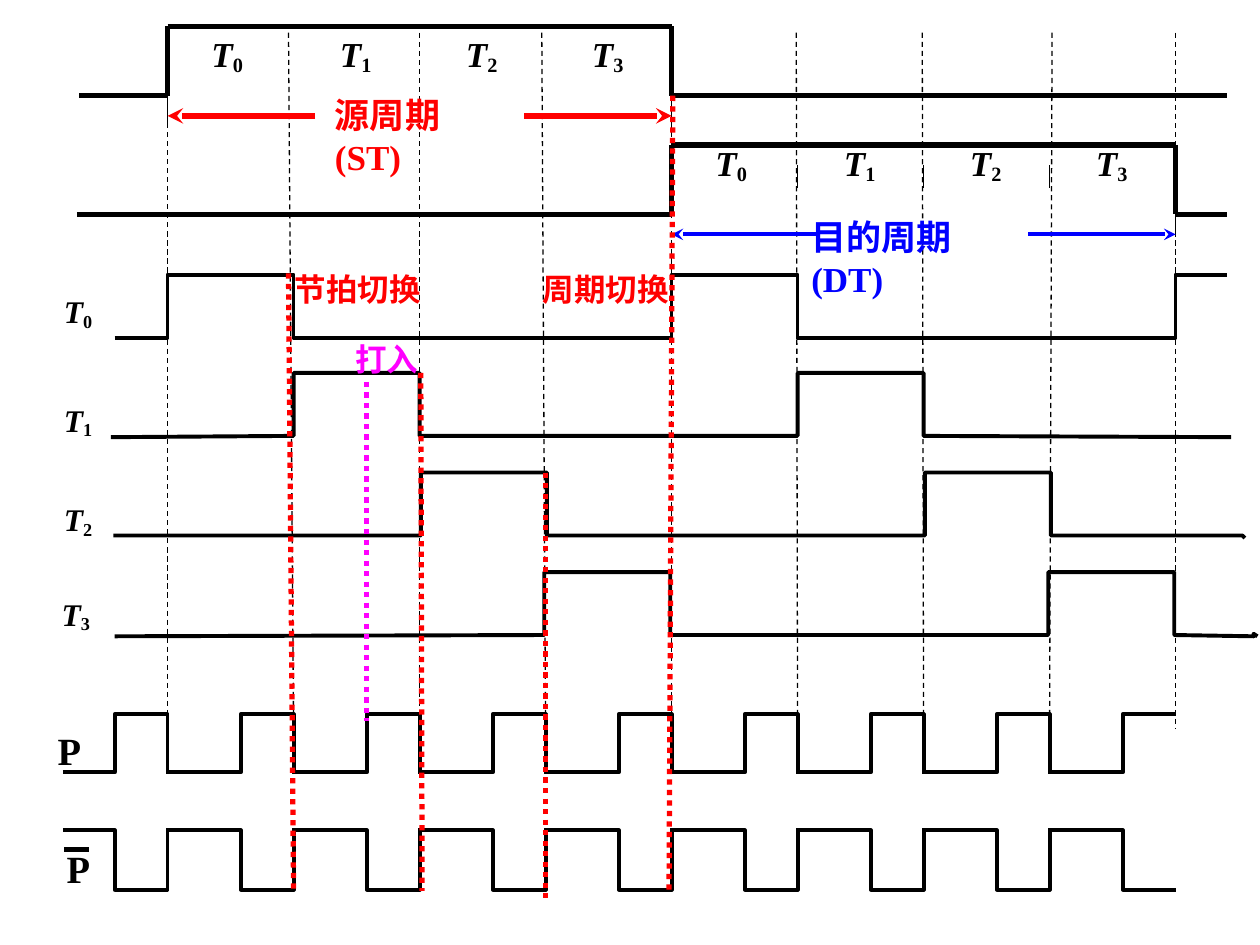
import itertools
import pptx
import pptx.util
import pptx.dml.color
import pptx.enum.dml
import pptx.enum.shapes
import pptx.enum.text
import pptx.oxml.ns
import pptx.oxml.xmlchemy

Inches = pptx.util.Inches
Pt = pptx.util.Pt
Color = pptx.dml.color.RGBColor
Dash = pptx.enum.dml.MSO_LINE
make = pptx.oxml.xmlchemy.OxmlElement
BLACK = Color(0, 0, 0)
RED = Color(255, 0, 0)
BLUE = Color(0, 0, 255)
PINK = Color(255, 0, 255)
FONT = "Times New Roman"


def add_line(slide, start, end, color=BLACK, width=0.75, dash=None, arrow=False):
    kind = pptx.enum.shapes.MSO_CONNECTOR.STRAIGHT
    line = slide.shapes.add_connector(kind, *[Inches(v) for v in (*start, *end)])
    line.line.color.rgb = color
    line.line.width = Pt(width)
    if dash:
        line.line.dash_style = dash
    props = line._element.spPr
    if arrow:
        tail = make("a:tailEnd")
        tail.set("type", "stealth")
        props.find(pptx.oxml.ns.qn("a:ln")).append(tail)
    props.append(make("a:effectLst"))


def add_wave(slide, points):
    """Draw one open outline through the points."""
    places = [(Inches(x), Inches(y)) for x, y in points]
    form = slide.shapes.build_freeform(*places[0])
    form.add_line_segments(places[1:], close=False)
    wave = form.convert_to_shape()
    wave.shadow.inherit = False
    wave.fill.background()
    wave.line.color.rgb = BLACK
    wave.line.width = Pt(2.25)


def add_label(slide, box, text, size, color=BLACK, sub=None, wrap=False):
    """Write bold text; a subscript makes the main text italic."""
    label = slide.shapes.add_textbox(*[Inches(v) for v in box])
    frame = label.text_frame
    frame.text = text
    frame.word_wrap = wrap
    if wrap:
        frame.margin_right = Inches(0.5)
    else:
        frame.auto_size = pptx.enum.text.MSO_AUTO_SIZE.SHAPE_TO_FIT_TEXT
    para = frame.paragraphs[0]
    if sub is not None:
        para.add_run().text = str(sub)
    for run in para.runs:
        run.font.name = FONT
        run.font.size = Pt(size)
        run.font.bold = True
        run.font.color.rgb = color
    if sub is not None:
        para.runs[0].font.italic = True
        para.runs[1].font.italic = False
        para.runs[1]._r.get_or_add_rPr().set("baseline", "-15000")


def pulse(first, last, high, low, rises, tail=()):
    """List the points of a level line with pulses one inch wide."""
    points = [first]
    for x in rises:
        points += [(x, low), (x, high), (x + 1, high), (x + 1, low)]
    return points + [last, *tail]


def add_beats(slide):
    """Draw the rows T0 to T3, each with a pulse in both cycles."""
    rows = [
        ((0.91, 2.68), (9.33, 2.68), 2.18, 1.33, [(9.33, 2.18), (9.74, 2.18)], (0.41, 2.27)),
        ((0.88, 3.47), (9.77, 3.47), 2.96, 2.33, [], (0.41, 3.13)),
        ((0.9, 4.25), (9.86, 4.25), 3.75, 3.34, [(9.88, 4.27)], (0.41, 3.92)),
        ((0.91, 5.05), (9.95, 5.05), 4.54, 4.32, [(9.95, 5.03), (9.98, 5.05)], (0.39, 4.67)),
    ]
    for i, (first, last, high, rise, tail, place) in enumerate(rows):
        add_wave(slide, pulse(first, last, high, high + 0.5, (rise, rise + 4), tail))
        add_label(slide, (*place, 0.44, 0.4), "T", 18, sub=i)


def add_clock(slide, rest, peak):
    """Draw nine clock periods that leave the rest level for the peak."""
    for i in range(9):
        start = 0.5 if i == 0 else 0.32 + i
        rise, fall = 0.91 + i, 1.33 + i
        end = peak if i == 8 else rest
        add_wave(slide, [(start, rest), (rise, rest), (rise, peak), (fall, peak), (fall, end)])


def add_guides(slide, top, bottom):
    tops = [1.33, 2.29, 3.33, 4.3, 5.33, 6.32, 7.32, 8.35, 9.33]
    for i, x in enumerate(tops):
        add_line(slide, (x, top), (1.33 + i, bottom), dash=Dash.DASH)


def add_cycle(slide, left, top, start, text, color, width, names, box):
    """Draw one machine cycle: wave, beat names, span arrows and title."""
    end, base = start + 4, top + 0.55
    row = base + 0.16
    add_line(slide, (end - 1.17, row), (end, row), color, width, arrow=True)
    add_line(slide, (start + 1.17, row), (start, row), color, width, arrow=True)
    add_label(slide, box, text, 20, color, wrap=True)
    for i, shift in enumerate((0.25, 1.27, 2.27, 3.27)):
        add_label(slide, (start + shift, names, 0.47, 0.44), "T", 20, sub=i)
    points = [(left, base), (start, base), (start, top), (end, top), (end, base), (9.74, base)]
    for one, two in itertools.pairwise(points):
        add_line(slide, one, two, width=3)


def add_marks(slide):
    """Draw the dotted switching moments and their captions."""
    marks = [
        ((2.29, 2.17), (2.33, 7.06), RED),
        ((2.91, 3.03), (2.91, 5.72), PINK),
        ((3.34, 2.96), (3.35, 7.07), RED),
        ((4.33, 3.75), (4.33, 7.14), RED),
        ((5.34, 0.76), (5.31, 7.07), RED),
    ]
    for start, end, color in marks:
        add_line(slide, start, end, color, 3, Dash.ROUND_DOT)
    add_label(slide, (2.72, 2.65, 0.71, 0.4), "打入", 18, PINK)
    add_label(slide, (2.24, 2.09, 1.22, 0.4), "节拍切换", 18, RED)
    add_label(slide, (4.21, 2.09, 1.22, 0.4), "周期切换", 18, RED)


def main():
    deck = pptx.Presentation()
    deck.slide_width, deck.slide_height = Inches(10), Inches(7.5)
    slide = deck.slides.add_slide(deck.slide_layouts[6])
    add_beats(slide)
    add_label(slide, (0.36, 5.72, 0.39, 0.47), "P", 22)
    add_clock(slide, 6.13, 5.67)
    add_guides(slide, 0.26, 5.78)
    for x, top, bottom in [(1.33, 0.29, 0.98), (5.33, 0.29, 0.98), (6.33, 1.31, 1.49),
                           (7.33, 1.31, 1.49), (8.33, 1.31, 1.49), (9.33, 1.16, 1.85)]:
        add_line(slide, (x, top), (x, bottom))
    add_cycle(slide, 0.63, 0.21, 1.33, "源周期(ST)", RED, 3, 0.21, (2.56, 0.69, 1.58, 0.44))
    add_cycle(slide, 0.61, 1.15, 5.33, "目的周期(DT)", BLUE, 2.25, 1.07, (6.34, 1.66, 1.91, 0.44))
    add_clock(slide, 6.59, 7.06)
    add_label(slide, (0.43, 6.66, 0.39, 0.47), "P", 22)
    add_line(slide, (0.51, 6.74), (0.71, 6.74), width=3)
    add_marks(slide)
    deck.save("out.pptx")


if __name__ == "__main__":
    main()
